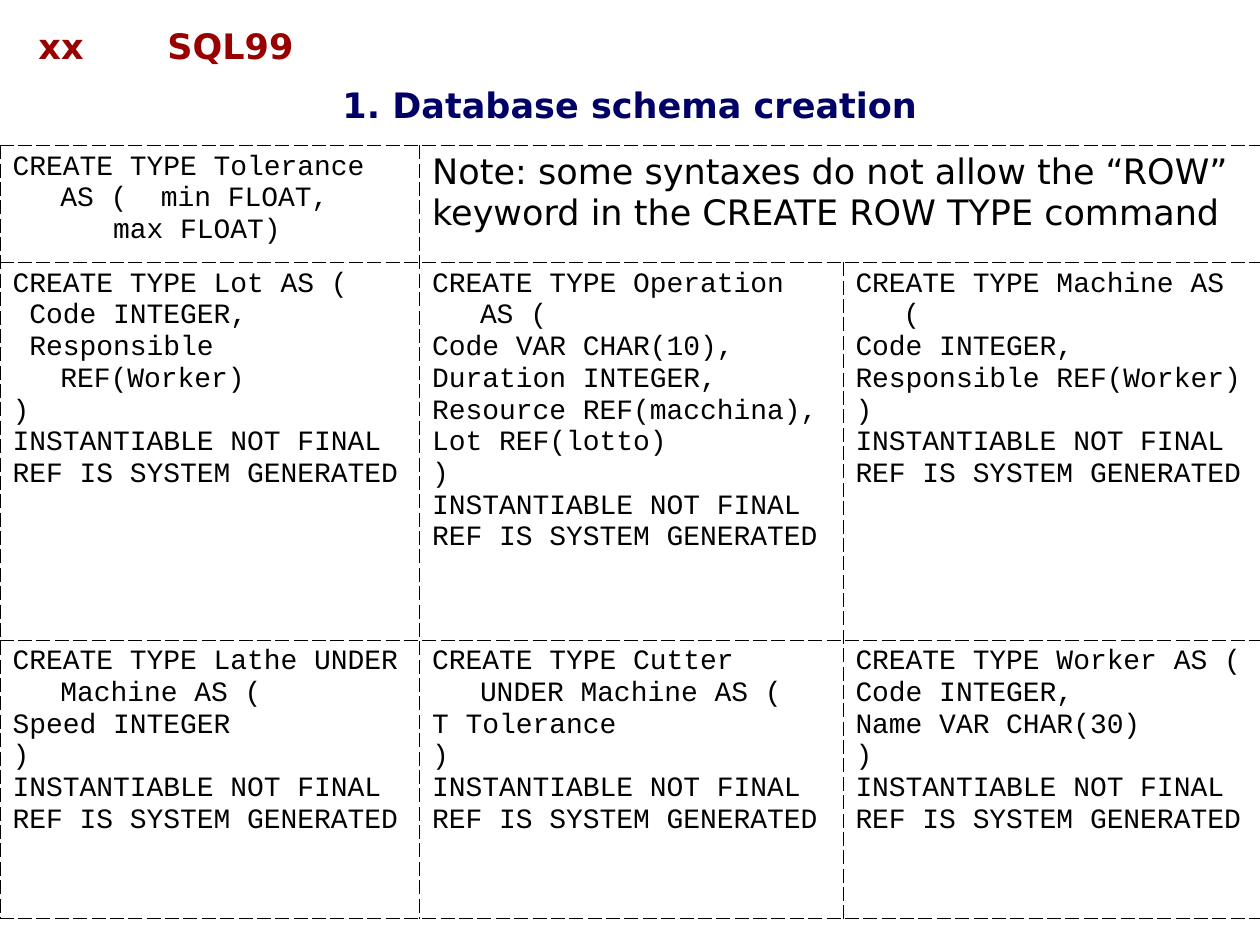
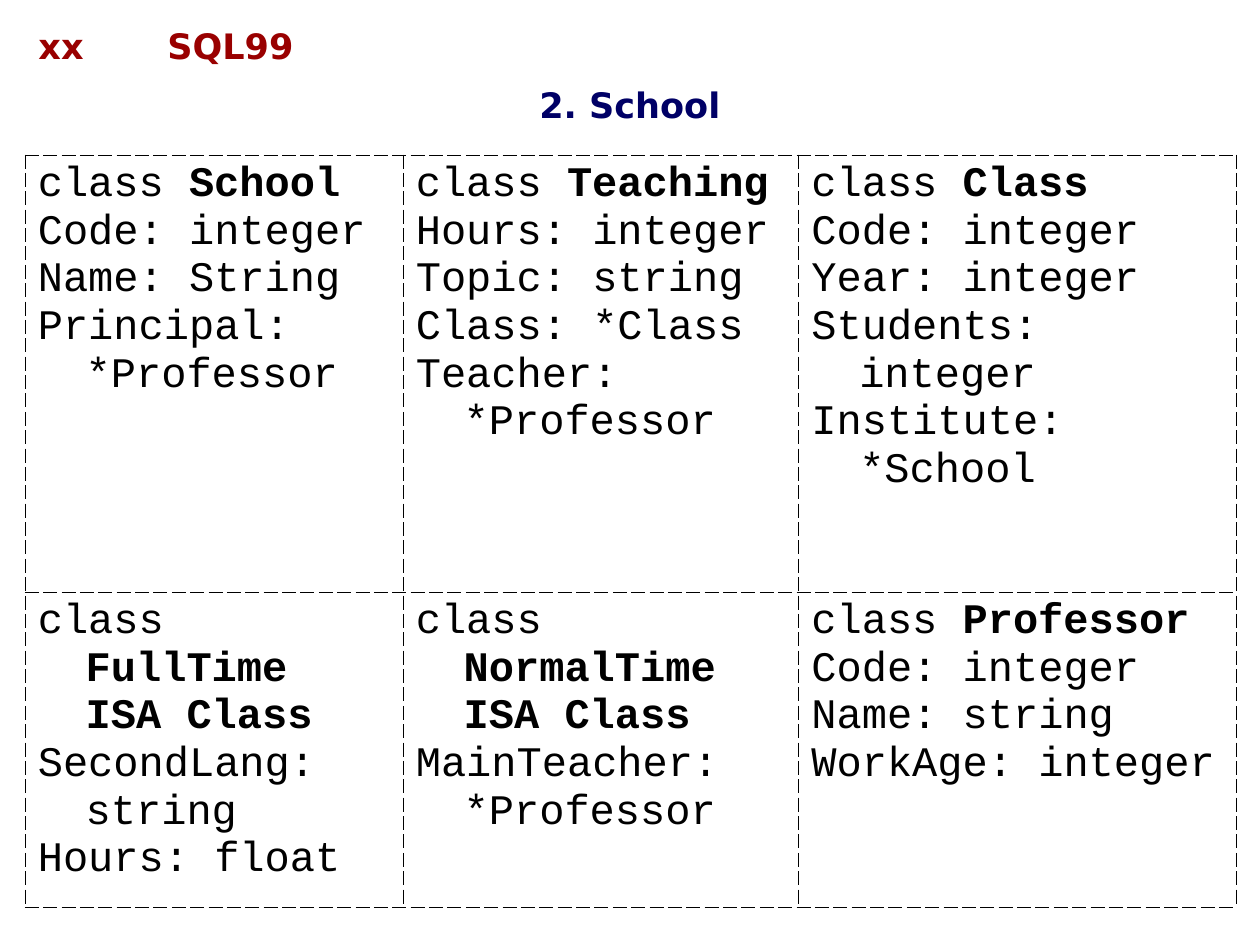
from lxml import etree
from pptx import Presentation
from pptx.dml.color import RGBColor
from pptx.enum.text import MSO_ANCHOR, PP_ALIGN
from pptx.oxml.ns import qn
from pptx.util import Inches, Pt

LEFT, CENTER = PP_ALIGN.LEFT, PP_ALIGN.CENTER
TOP, MIDDLE = MSO_ANCHOR.TOP, MSO_ANCHOR.MIDDLE
WIDE, HIGH = Inches(10), Inches(7.5)
SANS, CODE = "DejaVu Sans", "Courier New"
RED, NAVY, BLACK = "990000", "000066", "000000"
HANG = Inches(0.38)
RULE = Pt(0.45)

# Boxes are left, top, width and height in percent of the slide
TAG_BOX = (1.3, 1.9, 7.1, 5.8)
HEAD_BOX = (12.3, 1.9, 85.1, 5.8)
TITLE_BOX = (0, 9.1, 100, 4)
SCHEMA_BOX = (0, 15.4, 100, 81.8)
SCHOOL_BOX = (2, 16.4, 96.1, 79.6)

NOTE = ("Note: some syntaxes do not allow the “ROW” keyword "
        "in the CREATE ROW TYPE command")
TOLERANCE = ["CREATE TYPE Tolerance AS (  min FLOAT,", "      max FLOAT)"]
ENDING = [")", "INSTANTIABLE NOT FINAL", "REF IS SYSTEM GENERATED"]
TYPES = [
    [
        ["Lot AS (", " Code INTEGER,", " Responsible REF(Worker)"],
        ["Operation AS (", "Code VAR CHAR(10),", "Duration INTEGER,",
         "Resource REF(macchina),", "Lot REF(lotto)"],
        ["Machine AS (", "Code INTEGER,", "Responsible REF(Worker)"],
    ],
    [
        ["Lathe UNDER Machine AS (", "Speed INTEGER"],
        ["Cutter UNDER Machine AS (", "T Tolerance"],
        ["Worker AS (", "Code INTEGER,", "Name VAR CHAR(30)"],
    ],
]
CLASSES = [
    [
        ["School", "Code: integer", "Name: String", "Principal: *Professor"],
        ["Teaching", "Hours: integer", "Topic: string", "Class: *Class",
         "Teacher: *Professor"],
        ["Class", "Code: integer", "Year: integer", "Students: integer",
         "Institute: *School"],
    ],
    [
        ["\nFullTime \nISA Class", "SecondLang: string", "Hours: float"],
        ["NormalTime ISA Class", "MainTeacher: *Professor"],
        ["Professor", "Code: integer", "Name: string", "WorkAge: integer"],
    ],
]


def color(code):
    return RGBColor.from_string(code)


def scale(box):
    """Turn a box in percent into slide lengths."""
    return [round(part * size / 100)
            for part, size in zip(box, (WIDE, HIGH, WIDE, HIGH))]


def write(para, text, size, font=CODE, ink=BLACK, bold=False):
    """Add a run for each line of text, with line breaks between."""
    for i, line in enumerate(text.split("\n")):
        if i:
            para.add_line_break()
        if line:
            run = para.add_run()
            run.text = line
            run.font.size, run.font.name = Pt(size), font
            run.font.bold = bold
            run.font.color.rgb = color(ink)


def add_label(slide, box, text, ink, align=CENTER, anchor=TOP):
    frame = slide.shapes.add_textbox(*scale(box)).text_frame
    frame.word_wrap = True
    frame.vertical_anchor = anchor
    para = frame.paragraphs[0]
    para.alignment = align
    write(para, text, 20, SANS, ink, True)


def add_page(deck, title):
    slide = deck.slides.add_slide(deck.slide_layouts[6])
    add_label(slide, HEAD_BOX, "SQL99", RED, LEFT)
    add_label(slide, TAG_BOX, "xx", RED)
    add_label(slide, TITLE_BOX, title, NAVY, anchor=MIDDLE)
    return slide


def dash(cell):
    """Clear the cell's fill and draw dashed rules on its four sides."""
    cell.fill.background()
    props = cell._tc.get_or_add_tcPr()
    for i, side in enumerate(("lnL", "lnR", "lnT", "lnB")):
        line = etree.Element(qn(f"a:{side}"), w=str(RULE))
        fill = etree.SubElement(line, qn("a:solidFill"))
        etree.SubElement(fill, qn("a:srgbClr"), val=BLACK)
        etree.SubElement(line, qn("a:prstDash"), val="dash")
        props.insert(i, line)


def add_grid(slide, box, cols, rows):
    """Add an empty table whose columns and rows share the box by weight."""
    left, top, width, height = scale(box)
    table = slide.shapes.add_table(len(rows), len(cols), left, top,
                                   width, height).table
    table.first_row = table.horz_banding = False
    for col, part in zip(table.columns, cols):
        col.width = round(width * part / sum(cols))
    for row, part in zip(table.rows, rows):
        row.height = round(height * part / sum(rows))
    for cell in table.iter_cells():
        dash(cell)
    return table


def fill_code(cell, lines, size, name=""):
    """Write hanging code lines; a name follows the first line in bold."""
    frame = cell.text_frame
    for i, line in enumerate(lines):
        para = frame.add_paragraph() if i else frame.paragraphs[0]
        props = para._p.get_or_add_pPr()
        props.set("marL", str(HANG))
        props.set("indent", str(-HANG))
        write(para, line, size)
        if name and not i:
            write(para, name, size, bold=True)


def add_schema(deck):
    slide = add_page(deck, "1. Database schema creation")
    table = add_grid(slide, SCHEMA_BOX, (3.33, 3.36, 3.31), (0.93, 3, 2.21))
    fill_code(table.cell(0, 0), TOLERANCE, 16)
    note = table.cell(0, 1)
    note.merge(table.cell(0, 2))
    write(note.text_frame.paragraphs[0], NOTE, 20, SANS)
    for r, row in enumerate(TYPES, 1):
        for c, (head, *body) in enumerate(row):
            lines = ["CREATE TYPE " + head, *body, *ENDING]
            fill_code(table.cell(r, c), lines, 16)


def add_school(deck):
    slide = add_page(deck, "2. School")
    table = add_grid(slide, SCHOOL_BOX, (3, 3.14, 3.47), (3.47, 2.5))
    for r, row in enumerate(CLASSES):
        for c, (name, *body) in enumerate(row):
            fill_code(table.cell(r, c), ["class ", *body], 24, name)


def main():
    deck = Presentation()
    deck.slide_width, deck.slide_height = WIDE, HIGH
    add_schema(deck)
    add_school(deck)
    deck.save("out.pptx")


if __name__ == "__main__":
    main()
